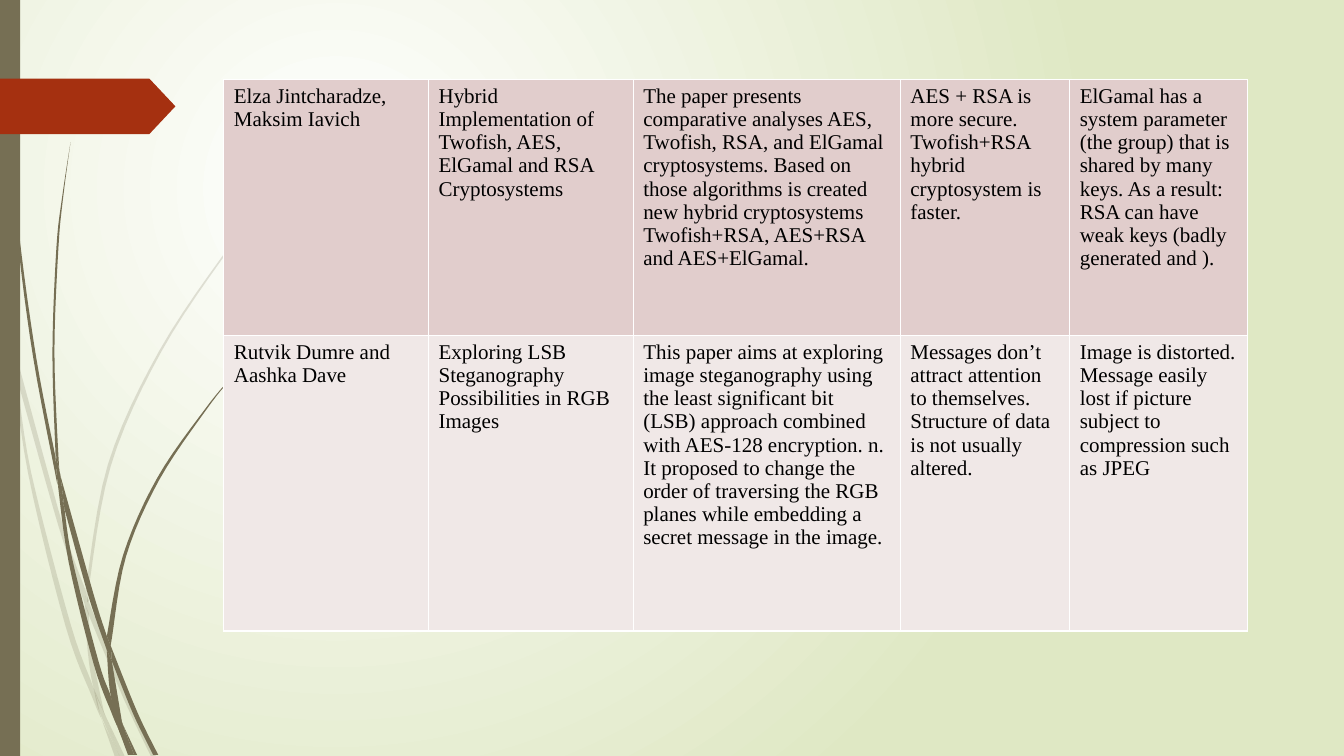
import dataclasses
import itertools

import lxml.etree
import pptx
import pptx.dml.color
import pptx.enum.shapes
import pptx.oxml
import pptx.oxml.ns
import pptx.util

Inches = pptx.util.Inches


@dataclasses.dataclass(frozen=True)
class Theme:
    font: str = "Times New Roman"
    body_size: int = 15
    text: str = "000000"
    white: str = "FFFFFF"
    meadow: str = "DFE8C4"
    stalk: str = "766F54"
    tag: str = "A53010"
    rows: tuple = ("E1CDCC", "F0E8E7")
    border_width: int = 1
    faint_percent: int = 20


THEME = Theme()
CURVE_STEPS = 6

FAINT_BLADES = [
    ("0.11 3.5 0.09 3.22 0 2.82", "0 2.99 0.1 3.44"),
    ("0.17 3.76 0.58 5.22 0.84 5.99", "0.85 5.86 0.62 5.2 0.14 3.45"),
    ("0.88 6.1 1.23 6.94 1.5 7.51", "1.55 7.51 1.27 6.92 0.92 6.07 0.88 5.96"),
    ("1.05 7.11 1.19 7.51", "1.24 7.51"),
    ("0.11 3.5 0.28 4.7 0.65 6.21 0.92 6.93 1.01 7.14",
     "0.99 7.07 0.93 6.83 0.7 6.19 0.31 4.69 0.17 3.76"),
    ("0.84 5.99 0.87 6.46 0.93 6.83 1.05 7.11",
     "1.03 7.06 0.91 6.46 0.88 6.08"),
    ("0.88 5.96 0.88 5.84 1.1 4.62 1.6 3.49 2.29 2.45 2.68 1.98 3.12 1.54",
     "3.12 1.53 2.68 1.97 2.28 2.44 1.58 3.48 1.07 4.61 0.85 5.84"),
    ("1.01 7.14 1.14 7.51", "1.19 7.51"),
    ("0.88 6.1 0.88 5.96", "0.85 5.86 0.84 5.99"),
    ("0.93 6.83 0.99 7.07 1.19 7.51", "1.19 7.51 1.05 7.11"),
]

SOLID_BLADES = [
    ("0.03 0 0.04 0.48 0.07 1.1 0.17 2.33 0.33 3.55 0.57 4.81",
     "0.55 4.53 0.36 3.55 0.19 2.32 0.08 1.09 0.05 0.48 0.04 0"),
    ("0.64 5.05 0.88 5.92 1.06 6.45", "1.06 6.31 0.93 5.9 0.6 4.72"),
    ("1.11 6.56 1.32 7.08 1.52 7.49", "1.57 7.49 1.36 7.06 1.1 6.41"),
    ("0.57 4.77 0.68 5.57 0.93 6.59 1.11 7.08 1.17 7.22",
     "1.16 7.17 1.1 6.91 0.98 6.57 0.72 5.56 0.64 5.05"),
    ("0.6 4.72 0.58 4.53 0.54 3.49 0.58 2.45 0.63 1.93 0.7 1.41",
     "0.7 1.41 0.62 1.93 0.56 2.45 0.52 3.49 0.55 4.49"),
    ("1.22 7.19 1.33 7.49", "1.36 7.49"),
    ("0.55 4.49 0.57 4.77 0.64 5.05", "0.64 5.05 0.6 4.72"),
    ("1.1 6.41 1.11 6.33 1.25 5.52 1.58 4.76 2.05 4.06 2.31 3.74 2.61 3.44",
     "2.6 3.44 2.31 3.73 2.04 4.05 1.56 4.74 1.22 5.51 1.06 6.31"),
    ("1.17 7.22 1.27 7.49", "1.31 7.49"),
    ("1.06 6.45 1.1 6.91 1.22 7.19", "1.21 7.16 1.11 6.56"),
    ("1.06 6.45 1.11 6.56", "1.1 6.41 1.06 6.31"),
    ("1.1 6.91 1.17 7.22 1.3 7.49", "1.33 7.49 1.22 7.19"),
]

PAPERS = [
    ["Elza Jintcharadze, Maksim Iavich",
     "Hybrid Implementation of Twofish, AES, ElGamal and RSA Cryptosystems",
     "The paper presents comparative analyses AES, Twofish, RSA, and ElGamal "
     "cryptosystems. Based on those algorithms is created new hybrid "
     "cryptosystems Twofish+RSA, AES+RSA and AES+ElGamal.",
     "AES + RSA is more secure.\nTwofish+RSA hybrid cryptosystem is faster.",
     "ElGamal has a system parameter (the group) that is shared by many keys. "
     "As a result: RSA can have weak keys (badly generated and )."],
    ["Rutvik Dumre and Aashka Dave",
     "Exploring LSB Steganography Possibilities in RGB Images",
     "This paper aims at exploring image steganography using the least "
     "significant bit (LSB) approach combined with AES-128 encryption. n. It "
     "proposed to change the order of traversing the RGB planes while "
     "embedding a secret message in the image.",
     "Messages don’t attract attention to themselves. Structure of data is "
     "not usually altered.",
     "Image is distorted. Message easily lost if picture subject to "
     "compression such as JPEG"],
]
COLUMN_WIDTHS = [2.03, 2.03, 2.65, 1.68, 1.76]
ROW_HEIGHTS = [2.54, 2.93]


def rgb(color):
    return pptx.dml.color.RGBColor.from_string(color)


def add_xml(parent, tag, **attributes):
    return lxml.etree.SubElement(parent, pptx.oxml.ns.qn(tag), attributes)


def paint(shape, color):
    shape.shadow.inherit = False
    shape.fill.solid()
    shape.fill.fore_color.rgb = rgb(color)
    shape.line.fill.background()


def add_background(page):
    fill = page.background.fill
    fill.gradient()
    for stop, color in zip(fill.gradient_stops, (THEME.white, THEME.meadow)):
        stop.color.rgb = rgb(color)
    gradient = next(page.element.iter(pptx.oxml.ns.qn("a:gradFill")))
    gradient.remove(gradient.find(pptx.oxml.ns.qn("a:lin")))
    circle = add_xml(gradient, "a:path", path="circle")
    add_xml(circle, "a:fillToRect", l="50000", t="50000", r="100000", b="100000")


def smooth_edge(text):
    numbers = [float(word) for word in text.split()]
    knots = list(zip(numbers[::2], numbers[1::2]))
    padded = [knots[0], *knots, knots[-1]]
    points = [knots[0]]
    for a, b, c, d in zip(padded, padded[1:], padded[2:], padded[3:]):
        for step in range(1, CURVE_STEPS + 1):
            t = step / CURVE_STEPS
            points.append(tuple(
                q + t * (r - p) / 2 + t**2 * (2 * p - 5 * q + 4 * r - s) / 2
                + t**3 * (3 * q - p - 3 * r + s) / 2
                for p, q, r, s in zip(a, b, c, d)))
    return points


def add_blades(page, blades, opacity=100):
    group = page.shapes.add_group_shape()
    for edges in blades:
        outline = itertools.chain.from_iterable(map(smooth_edge, edges))
        points = [(Inches(x), Inches(y)) for x, y in outline]
        builder = group.shapes.build_freeform(*points[0])
        builder.add_line_segments(points[1:], close=True)
        blade = builder.convert_to_shape()
        paint(blade, THEME.stalk)
        if opacity < 100:
            color = next(blade.element.spPr.iter(pptx.oxml.ns.qn("a:srgbClr")))
            add_xml(color, "a:alpha", val=str(opacity * 1000))


def add_block(page, kind, left, top, width, height, color):
    block = page.shapes.add_shape(kind, *map(Inches, (left, top, width, height)))
    paint(block, color)
    return block


def add_borders(cell):
    properties = cell._tc.get_or_add_tcPr()
    for side in ("a:lnL", "a:lnR", "a:lnT", "a:lnB"):
        line = add_xml(properties, side, w=str(pptx.util.Pt(THEME.border_width)))
        add_xml(add_xml(line, "a:solidFill"), "a:srgbClr", val=THEME.white)


def fill_cell(cell, text, color):
    add_borders(cell)
    cell.fill.solid()
    cell.fill.fore_color.rgb = rgb(color)
    cell.text_frame.text = text
    formats = {"name": THEME.font, "size": pptx.util.Pt(THEME.body_size), "bold": False}
    for para in cell.text_frame.paragraphs:
        for span in para.runs:
            span.font.color.rgb = rgb(THEME.text)
            for name, value in formats.items():
                setattr(span.font, name, value)


def add_papers_table(page):
    frame = page.shapes.add_table(
        len(PAPERS), len(COLUMN_WIDTHS), Inches(2.22), Inches(0.79),
        Inches(sum(COLUMN_WIDTHS)), Inches(sum(ROW_HEIGHTS)))
    table = frame.table
    table.first_row = table.horz_banding = False
    for column, width in zip(table.columns, COLUMN_WIDTHS):
        column.width = Inches(width)
    for row, height, texts, color in zip(table.rows, ROW_HEIGHTS, PAPERS, THEME.rows):
        row.height = Inches(height)
        for cell, text in zip(row.cells, texts):
            fill_cell(cell, text, color)


def main():
    deck = pptx.Presentation()
    deck.slide_width, deck.slide_height = Inches(13.33), Inches(7.5)
    page = deck.slides.add_slide(deck.slide_layouts[6])
    shapes = pptx.enum.shapes.MSO_SHAPE
    add_background(page)
    add_blades(page, FAINT_BLADES, THEME.faint_percent)
    add_blades(page, SOLID_BLADES)
    add_block(page, shapes.RECTANGLE, 0, 0, 0.2, 7.5, THEME.stalk)
    tag = add_block(page, shapes.PENTAGON, 0, 0.78, 1.74, 0.55, THEME.tag)
    tag.adjustments[0] = 0.47
    add_papers_table(page)
    deck.save("out.pptx")


main()
